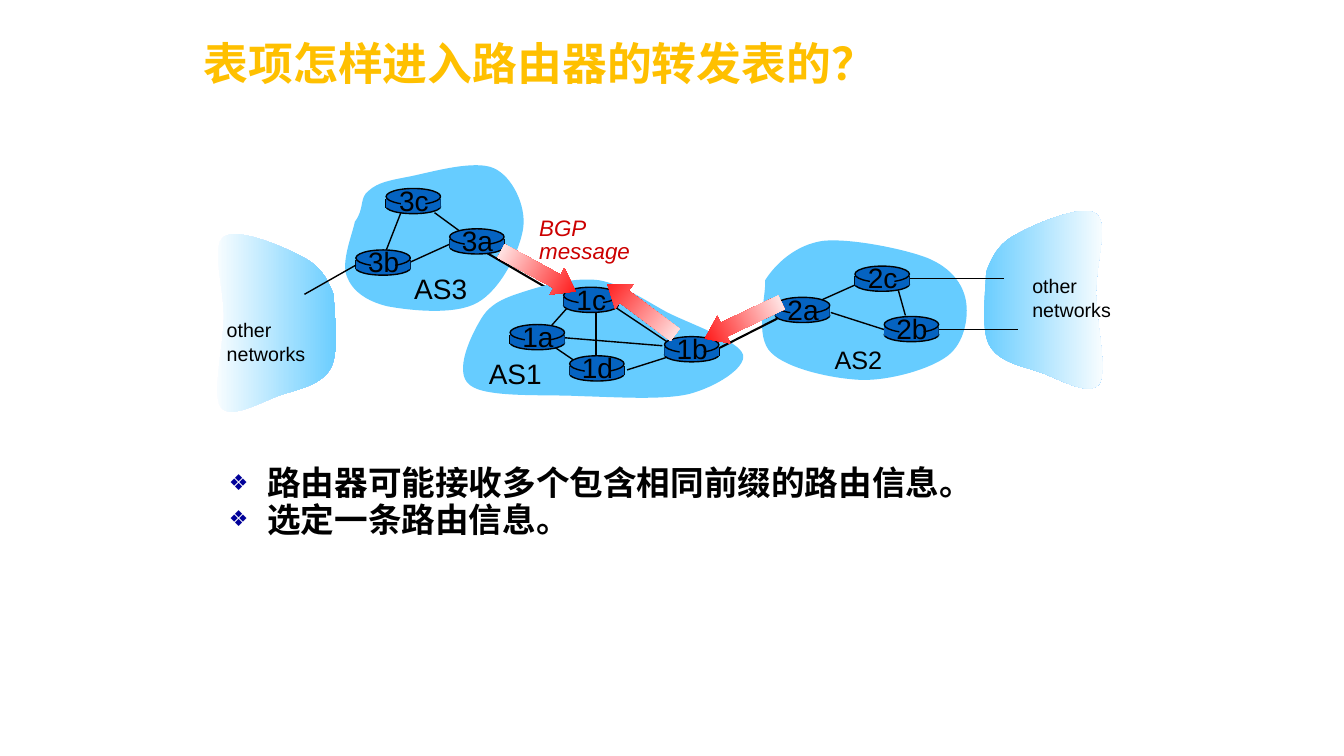
"""Builds the slide on how entries get into a router's forwarding table."""
from lxml import etree
from pptx import Presentation
from pptx import util as u
from pptx.dml.color import RGBColor
from pptx.enum import shapes, text
from pptx.oxml.ns import qn

COLORS = {"title": "FFC000", "cloud": "66CCFF", "router": "0563C1", "black": "000000",
          "white": "FFFFFF", "arrow": "FF0000", "message": "CC0000", "bullet": "000099"}
CJK = "Noto Sans CJK SC"

RIGHT_NETWORK = [
    (9.78, 2.7), (9.84, 2.54), (9.91, 2.41), (10.09, 2.32), (10.27, 2.22), (10.74, 2.02),
    (10.87, 2.12), (11, 2.21), (10.87, 2.62), (10.87, 2.9), (10.87, 3.19), (10.99, 3.68),
    (10.9, 3.81), (10.8, 3.94), (10.49, 3.75), (10.31, 3.69), (10.13, 3.63), (9.9, 3.59),
    (9.81, 3.42), (9.72, 3.26), (9.78, 2.85), (9.78, 2.7)]
LEFT_NETWORK = [(13.09 - x, y + 0.23) for x, y in RIGHT_NETWORK]
AS1 = [
    (4.78, 3.15), (4.88, 2.99), (5.05, 2.94), (5.24, 2.88), (5.43, 2.82), (5.71, 2.75),
    (5.94, 2.78), (6.17, 2.82), (6.38, 2.97), (6.62, 3.1), (6.86, 3.22), (7.33, 3.38),
    (7.37, 3.52), (7.4, 3.65), (7.1, 3.84), (6.83, 3.91), (6.56, 3.97), (6.12, 3.94),
    (5.76, 3.93), (5.4, 3.91), (4.82, 3.95), (4.66, 3.82), (4.49, 3.69), (4.68, 3.31),
    (4.78, 3.15)]
AS2 = [
    (7.59, 2.78), (7.69, 2.62), (7.89, 2.43), (8.16, 2.39), (8.43, 2.36), (8.97, 2.47),
    (9.2, 2.56), (9.44, 2.66), (9.55, 2.82), (9.58, 2.98), (9.61, 3.14), (9.57, 3.4),
    (9.4, 3.53), (9.23, 3.66), (8.85, 3.77), (8.56, 3.77), (8.26, 3.76), (7.81, 3.66),
    (7.65, 3.5), (7.48, 3.34), (7.6, 2.93), (7.59, 2.78)]
AS3 = [
    (3.52, 2.2), (3.62, 2.07), (3.56, 1.96), (3.66, 1.89), (3.75, 1.81), (3.86, 1.79),
    (4.07, 1.75), (4.27, 1.71), (4.71, 1.58), (4.9, 1.67), (5.08, 1.75), (5.22, 2.04),
    (5.19, 2.26), (5.16, 2.48), (4.97, 2.87), (4.74, 3), (4.52, 3.13), (4.07, 3.08),
    (3.85, 3.04), (3.63, 2.99), (3.49, 2.88), (3.44, 2.74), (3.38, 2.6), (3.5, 2.31),
    (3.52, 2.2)]

OUTER_LINKS = [(4.07, 2.6, 4.51, 2.4, 1), (4.83, 2.51, 5.6, 2.96, 1.5),
               (8.05, 3.02, 8.52, 2.81, 1), (4.57, 2.3, 4.31, 2.11, 1),
               (3.98, 2.1, 3.82, 2.51, 1), (9.02, 2.76, 9.96, 2.76, 0.75),
               (9.3, 3.27, 10.1, 3.27, 0.75), (8.24, 3.1, 8.77, 3.27, 1),
               (8.91, 2.88, 8.98, 3.13, 1)]
AS1_LINKS = [(5.63, 3.05, 5.47, 3.23, 1), (5.91, 3.09, 5.91, 3.59, 1),
             (6.09, 3.04, 6.63, 3.4, 1), (6.63, 3.54, 6.22, 3.67, 1),
             (6.57, 3.43, 5.59, 3.35, 1), (5.48, 3.43, 5.7, 3.58, 1)]
ROUTERS = {"3b": (3.53, 2.48), "3c": (3.83, 1.87), "3a": (4.46, 2.27), "1c": (5.59, 2.85),
           "1a": (5.06, 3.22), "1d": (5.65, 3.53), "1b": (6.59, 3.34), "2a": (7.69, 2.95),
           "2c": (8.48, 2.64), "2b": (8.77, 3.14)}


class Drawing:
    """Holds the slide and draws each kind of element in one style."""

    def __init__(self, page):
        self.page = page

    def color(self, name):
        return RGBColor.from_string(COLORS[name])

    def format_runs(self, para, size, name, color="black", bold=None, italic=None, asian=None):
        for span in para.runs:
            font = span.font
            font.size, font.name = u.Pt(size), name
            font.bold, font.italic = bold, italic
            font.color.rgb = self.color(color)
            if asian:
                etree.SubElement(span.font._element, qn("a:ea"), typeface=asian)

    def place(self, box, left, top, width, height):
        box.left, box.top = u.Inches(left), u.Inches(top)
        box.width, box.height = u.Inches(width), u.Inches(height)

    def title(self, words):
        box = self.page.shapes.title
        self.place(box, 1.92, 0, 9.25, 1.25)
        frame = box.text_frame
        frame.text = words
        frame.auto_size = text.MSO_AUTO_SIZE.NONE
        frame.vertical_anchor = text.MSO_ANCHOR.MIDDLE
        frame.paragraphs[0].alignment = text.PP_ALIGN.LEFT
        self.format_runs(frame.paragraphs[0], 32, CJK, "title", bold=True, asian=CJK)

    def bullets(self, items):
        box = self.page.placeholders[1]
        self.place(box, 2.17, 4.58, 8.75, 2.59)
        frame = box.text_frame
        frame.text = "\n".join(words for words, _ in items)
        frame.auto_size = text.MSO_AUTO_SIZE.NONE
        for para, (_, name) in zip(frame.paragraphs, items):
            props = para._p.get_or_add_pPr()
            props.set("marL", str(u.Inches(0.38)))
            props.set("indent", str(u.Inches(-0.38)))
            tint = etree.SubElement(props, qn("a:buClr"))
            etree.SubElement(tint, qn("a:srgbClr"), val=COLORS["bullet"])
            etree.SubElement(props, qn("a:buSzPct"), val="65000")
            etree.SubElement(props, qn("a:buChar"), char="❖")
            para.line_spacing, para.space_before = 0.9, u.Pt(0)
            self.format_runs(para, 24, name, bold=True, asian=CJK)

    def label(self, words, left, top, width, height, size, group=None, align=None,
              spacing=None, color="black", italic=None):
        box = (group or self.page).shapes.add_textbox(0, 0, 0, 0)
        self.place(box, left, top, width, height)
        frame = box.text_frame
        frame.text = words
        frame.word_wrap = False
        for para in frame.paragraphs:
            para.alignment, para.line_spacing = align, spacing
            self.format_runs(para, size, "Arial", color, italic=italic)

    def shape(self, kind, left, top, width, height, group=None, outlined=False):
        box = (group or self.page).shapes.add_shape(kind, 0, 0, 0, 0)
        self.place(box, left, top, width, height)
        box.shadow.inherit = False
        box.fill.solid()
        box.fill.fore_color.rgb = self.color("router")
        if outlined:
            box.line.color.rgb = self.color("black")
            box.line.width = u.Pt(1)
        else:
            box.line.fill.background()
        return box

    def link(self, x1, y1, x2, y2, weight=1, group=None):
        line = (group or self.page).shapes.add_connector(
            shapes.MSO_CONNECTOR.STRAIGHT, *map(u.Inches, (x1, y1, x2, y2)))
        line.line.color.rgb = self.color("black")
        line.line.width = u.Pt(weight)
        etree.SubElement(line.element.spPr, qn("a:effectLst"))

    def gradient(self, box, *names):
        box.fill.gradient()
        box.fill.gradient_angle = 0
        for stop, name in zip(box.fill.gradient_stops, names):
            stop.color.rgb = self.color(name)

    def cloud(self, points, *fade):
        corners = [(u.Inches(x), u.Inches(y)) for x, y in points]
        builder = self.page.shapes.build_freeform(*corners[0])
        builder.add_line_segments(corners[1:], close=True)
        box = builder.convert_to_shape()
        segments = list(box.element.iter(qn("a:lnTo")))
        for first in range(0, len(segments), 3):
            curve = etree.Element(qn("a:cubicBezTo"))
            segments[first].addprevious(curve)
            for segment in segments[first:first + 3]:
                curve.append(segment[0])
                segment.getparent().remove(segment)
        box.shadow.inherit = False
        box.line.fill.background()
        if fade:
            self.gradient(box, *fade)
        else:
            box.fill.solid()
            box.fill.fore_color.rgb = self.color("cloud")

    def router(self, name, left, top):
        group = self.page.shapes.add_group_shape()
        oval, block = shapes.MSO_SHAPE.OVAL, shapes.MSO_SHAPE.RECTANGLE
        self.shape(oval, left, top + 0.11, 0.54, 0.14, group, outlined=True)
        for side in (left, left + 0.54):
            self.link(side, top + 0.1, side, top + 0.19, group=group)
        self.shape(block, left, top + 0.1, 0.54, 0.09, group)
        self.shape(oval, left, top, 0.54, 0.16, group, outlined=True)
        self.shape(block, left + 0.15, top + 0.02, 0.24, 0.21, group)
        self.label(name, left + 0.02, top - 0.1, 0.51, 0.43, 20, group, text.PP_ALIGN.CENTER)

    def arrow(self, left, top, angle):
        box = self.shape(shapes.MSO_SHAPE.LEFT_ARROW, left, top, 0.84, 0.3)
        box.adjustments[0], box.adjustments[1] = 0.5, 0.695
        box.rotation = angle
        self.gradient(box, "arrow", "white")


def main():
    deck = Presentation()
    deck.slide_width, deck.slide_height = u.Inches(13.33), u.Inches(7.5)
    drawing = Drawing(deck.slides.add_slide(deck.slide_layouts[1]))
    drawing.title("表项怎样进入路由器的转发表的？")
    drawing.bullets([("路由器可能接收多个包含相同前缀的路由信息。", "Karla"),
                     ("选定一条路由信息。", "Arial")])
    drawing.cloud(RIGHT_NETWORK, "cloud", "white")
    drawing.cloud(LEFT_NETWORK, "white", "cloud")
    drawing.cloud(AS2)
    drawing.cloud(AS3)
    for ends in OUTER_LINKS:
        drawing.link(*ends)
    drawing.cloud(AS1)
    for ends in AS1_LINKS:
        drawing.link(*ends)
    for name, spot in ROUTERS.items():
        drawing.router(name, *spot)
    drawing.label("AS3", 4.01, 2.64, 0.73, 0.43, 20)
    drawing.label("AS2", 8.18, 3.37, 0.67, 0.4, 18)
    drawing.label("AS1", 4.75, 3.49, 0.73, 0.43, 20)
    for left, top in ((10.14, 2.67), (2.15, 3.11)):
        drawing.label("other\nnetworks", left, top, 0.99, 0.57, 14)
    drawing.link(3.53, 2.63, 3.02, 2.92)
    drawing.link(7.14, 3.45, 7.71, 3.16, 1.5)
    for left, top, angle in ((4.92, 2.54, 208.5), (6.95, 3.03, 334.7), (5.94, 2.92, 36.9)):
        drawing.arrow(left, top, angle)
    drawing.label("BGP\nmessage", 5.25, 2.12, 1.1, 0.56, 16, spacing=0.85,
                  color="message", italic=True)
    deck.save("out.pptx")


if __name__ == "__main__":
    main()
